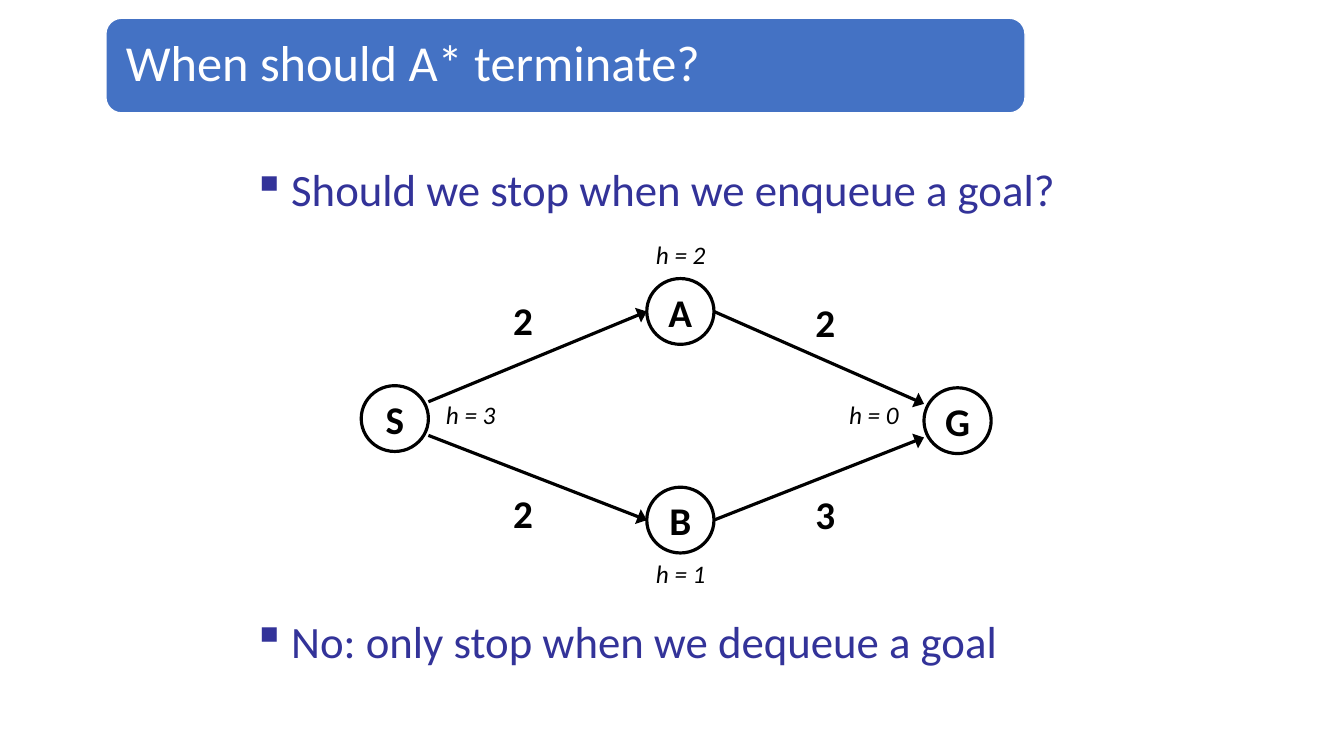
from lxml import etree
from pptx import Presentation
from pptx.dml.color import RGBColor
from pptx.enum.shapes import MSO_CONNECTOR, MSO_SHAPE
from pptx.enum.text import MSO_ANCHOR, PP_ALIGN
from pptx.oxml.ns import qn
from pptx.util import Pt

OVAL, ROUNDED = MSO_SHAPE.OVAL, MSO_SHAPE.ROUNDED_RECTANGLE
STRAIGHT = MSO_CONNECTOR.STRAIGHT
LEFT, CENTER = PP_ALIGN.LEFT, PP_ALIGN.CENTER
TOP, MIDDLE = MSO_ANCHOR.TOP, MSO_ANCHOR.MIDDLE

# Content
TITLE = "When should A* terminate?"
BULLETS = [  # text, top
    ("Should we stop when we enqueue a goal?", 115.5),
    ("No: only stop when we dequeue a goal", 438),
]
NODES = {  # name: centre x, centre y
    "S": (282, 299),
    "A": (486, 222.5),
    "B": (486, 371.5),
    "G": (684, 300.5),
}
HEURISTICS = [  # text, left, top
    ("h = 2", 468.5, 171),
    ("h = 3", 318.5, 285),
    ("h = 0", 606.5, 285),
    ("h = 1", 468.5, 399),
]
EDGES = [  # from, to, cost, cost left, cost top
    ("S", "A", "2", 366.5, 212),
    ("S", "B", "2", 366.5, 349.5),
    ("A", "G", "2", 582.5, 213),
    ("B", "G", "3", 582.5, 350.5),
]

THEME = {
    "font": "Calibri",
    "banner": RGBColor(0x44, 0x72, 0xC4),
    "white": RGBColor(0xFF, 0xFF, 0xFF),
    "bullet": RGBColor(0x33, 0x33, 0x99),
    "ink": RGBColor(0, 0, 0),
    "title_size": 36,
    "bullet_size": 32,
    "node_size": 28,
    "note_size": 18,
    "line": 2.28,
}
NODE_WIDTH, NODE_HEIGHT = 48, 47
FORK = 12  # vertical offset of the two edges that share the S or G side


def write(shape, text, size, color=THEME["ink"], bold=False, italic=False,
          align=LEFT, anchor=TOP, inset=0, spacing=None, wrap=False, bullet=None):
    frame = shape.text_frame
    frame.word_wrap = wrap
    frame.vertical_anchor = anchor
    frame.margin_left = frame.margin_right = Pt(inset)
    frame.margin_top = frame.margin_bottom = Pt(inset)
    para = frame.paragraphs[0]
    para.alignment = align
    if spacing:
        para.line_spacing = spacing
    if bullet:
        properties = para._p.get_or_add_pPr()
        properties.set("marL", str(Pt(28)))
        properties.set("indent", str(-Pt(27.5)))
        etree.SubElement(properties, qn("a:buChar")).set("char", bullet)
    span = para.add_run()
    span.text = text
    span.font.name = THEME["font"]
    span.font.size = Pt(size)
    span.font.bold = bold
    span.font.italic = italic
    span.font.color.rgb = color


def add_label(page, text, left, top, width, height, **style):
    box = page.shapes.add_textbox(Pt(left), Pt(top), Pt(width), Pt(height))
    write(box, text, **style)


def add_banner(page):
    banner = page.shapes.add_shape(ROUNDED, Pt(75.6), Pt(13), Pt(656.6), Pt(67.7))
    banner.shadow.inherit = False
    banner.fill.solid()
    banner.fill.fore_color.rgb = THEME["banner"]
    banner.line.color.rgb = THEME["white"]
    banner.line.width = Pt(1)
    write(banner, TITLE, THEME["title_size"], color=THEME["white"],
          anchor=MIDDLE, inset=11, spacing=0.9, wrap=True)


def add_node(page, name):
    x, y = NODES[name]
    node = page.shapes.add_shape(OVAL, Pt(x - NODE_WIDTH / 2), Pt(y - NODE_HEIGHT / 2),
                                 Pt(NODE_WIDTH), Pt(NODE_HEIGHT))
    node.shadow.inherit = False
    node.fill.background()
    node.line.color.rgb = THEME["ink"]
    node.line.width = Pt(THEME["line"])
    write(node, name, THEME["node_size"], bold=True, align=CENTER, anchor=MIDDLE)


def add_edge(page, start, end):
    (x1, y1), (x2, y2) = NODES[start], NODES[end]
    direction = 1 if y2 > y1 else -1
    if start == "S":
        y1 += FORK * direction
    if end == "G":
        y2 -= FORK * direction
    edge = page.shapes.add_connector(STRAIGHT, Pt(x1 + NODE_WIDTH / 2), Pt(y1),
                                     Pt(x2 - NODE_WIDTH / 2), Pt(y2))
    edge.line.color.rgb = THEME["ink"]
    edge.line.width = Pt(THEME["line"])
    head = etree.SubElement(edge.line._get_or_add_ln(), qn("a:tailEnd"))
    for key, value in (("type", "triangle"), ("w", "lg"), ("len", "med")):
        head.set(key, value)
    etree.SubElement(edge._element.spPr, qn("a:effectLst"))


def main():
    deck = Presentation()
    deck.slide_width, deck.slide_height = Pt(960), Pt(540)
    page = deck.slides.add_slide(deck.slide_layouts[6])

    # Title and bullets
    add_banner(page)
    for text, top in BULLETS:
        add_label(page, text, 180, top, 576, 40, size=THEME["bullet_size"],
                  color=THEME["bullet"], wrap=True, bullet="▪")

    # Graph
    for name in NODES:
        add_node(page, name)
    for start, end, cost, left, top in EDGES:
        add_edge(page, start, end)
        add_label(page, cost, left, top, 16.5, 36, size=THEME["node_size"], bold=True)
    for text, left, top in HEURISTICS:
        add_label(page, text, left, top, 37.5, 24, size=THEME["note_size"], italic=True)

    deck.save("out.pptx")


if __name__ == "__main__":
    main()
